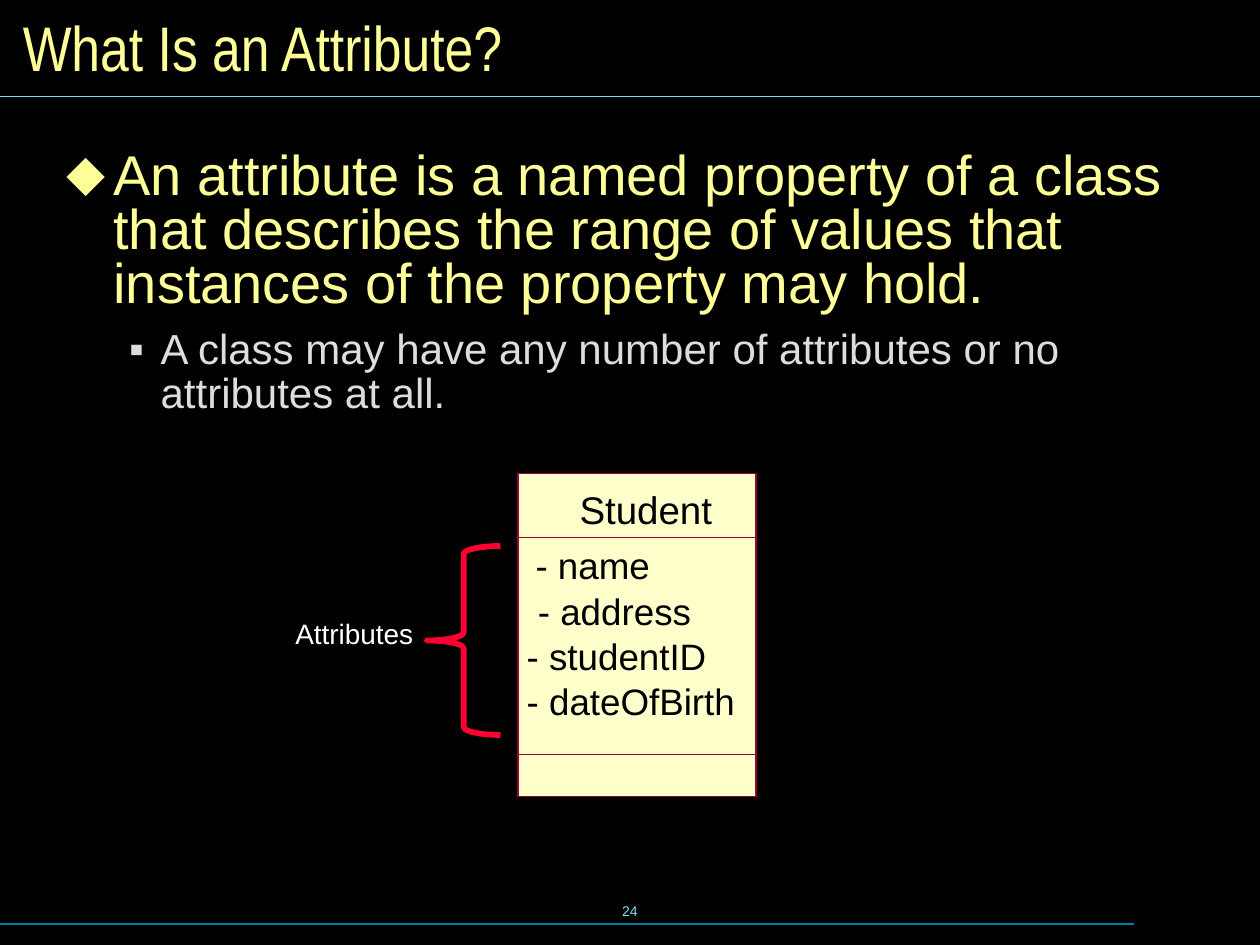
from dataclasses import dataclass

import lxml.etree
import pptx
import pptx.dml.color
import pptx.enum.shapes
import pptx.enum.text
import pptx.oxml.ns
import pptx.util

Pt = pptx.util.Pt
RGBColor = pptx.dml.color.RGBColor
Shape = pptx.enum.shapes.MSO_SHAPE
Align = pptx.enum.text.PP_ALIGN
Anchor = pptx.enum.text.MSO_ANCHOR
qn = pptx.oxml.ns.qn

BLACK = RGBColor(0x00, 0x00, 0x00)
WHITE = RGBColor(0xFF, 0xFF, 0xFF)
YELLOW = RGBColor(0xFF, 0xFF, 0x99)
CREAM = RGBColor(0xFF, 0xFF, 0xCC)
GRAY = RGBColor(0xDD, 0xDD, 0xDD)
SKY = RGBColor(0x73, 0xE1, 0xFF)
TEAL = RGBColor(0x00, 0x7E, 0x9F)
RED = RGBColor(0xFF, 0x00, 0x33)
MAROON = RGBColor(0x99, 0x00, 0x33)


@dataclass
class Bullet:
    text: str
    symbol: str
    level: int
    size: float
    color: RGBColor
    left: float
    hanging: float
    spacing: float
    before: float


@dataclass
class Attribute:
    text: str
    left: float
    width: float


BULLETS = [
    Bullet("An attribute is a named property of a class that describes the range "
           "of values that instances of the property may hold.",
           "⬥", 0, 32, YELLOW, 27, 27, 0.8, 0),
    Bullet("A class may have any number of attributes or no attributes at all.",
           "▪", 1, 24, GRAY, 54, 18, 0.87, 9),
]
ATTRIBUTES = [
    Attribute("- name", 306, 65.5),
    Attribute("- address", 307.4, 88),
    Attribute("- studentID", 301, 103),
    Attribute("- dateOfBirth", 301, 119),
]
ATTRIBUTE_TOP, ATTRIBUTE_STEP = 310.4, 25.8
CLASS_LEFT, CLASS_WIDTH, CLASS_BOTTOM = 296, 136, 455.2


def format_text(shape, text: str, *, size: float, color: RGBColor, font: str = "Arial",
                align=Align.LEFT, anchor=Anchor.TOP, wrap: bool = False,
                inset: tuple = (0, 0)) -> None:
    frame = shape.text_frame
    frame.auto_size = pptx.enum.text.MSO_AUTO_SIZE.NONE
    frame.word_wrap = wrap
    frame.vertical_anchor = anchor
    frame.margin_left = frame.margin_right = Pt(inset[0])
    frame.margin_top = frame.margin_bottom = Pt(inset[1])
    para = frame.paragraphs[0]
    para.alignment = align
    span = para.add_run()
    span.text = text
    format_font(span.font, font, size, color)


def format_font(target, name: str, size: float, color: RGBColor) -> None:
    target.name = name
    target.size = Pt(size)
    target.color.rgb = color


def add_text(page, text: str, left: float, top: float, width: float, height: float,
             **style) -> None:
    box = page.shapes.add_textbox(Pt(left), Pt(top), Pt(width), Pt(height))
    format_text(box, text, **style)


def add_rule(page, top: float, width: float, color: RGBColor) -> None:
    """Draw a thin horizontal line from the left edge of the page."""
    rule = page.shapes.add_connector(pptx.enum.shapes.MSO_CONNECTOR.STRAIGHT,
                                     Pt(0), Pt(top), Pt(width), Pt(top))
    rule.line.color.rgb = color
    rule.line.width = Pt(0.75)
    properties = rule._element.find(qn("p:spPr"))
    lxml.etree.SubElement(properties, qn("a:effectLst"))


def add_outline(page, kind, left: float, top: float, width: float, height: float,
                line: RGBColor, weight: float, fill: RGBColor | None = None):
    shape = page.shapes.add_shape(kind, Pt(left), Pt(top), Pt(width), Pt(height))
    shape.shadow.inherit = False
    if fill is None:
        shape.fill.background()
    else:
        shape.fill.solid()
        shape.fill.fore_color.rgb = fill
    shape.line.color.rgb = line
    shape.line.width = Pt(weight)
    return shape


def add_bullet(para, bullet: Bullet) -> None:
    para.level = bullet.level
    properties = para._p.get_or_add_pPr()
    properties.set("marL", str(int(Pt(bullet.left))))
    properties.set("indent", str(-int(Pt(bullet.hanging))))
    color = lxml.etree.SubElement(properties, qn("a:buClr"))
    lxml.etree.SubElement(color, qn("a:srgbClr"), val=str(bullet.color))
    lxml.etree.SubElement(properties, qn("a:buFont"), typeface="Arial")
    lxml.etree.SubElement(properties, qn("a:buChar"), char=bullet.symbol)
    para.line_spacing = bullet.spacing
    para.space_before = Pt(bullet.before)
    span = para.add_run()
    span.text = bullet.text
    format_font(span.font, "Arial", bullet.size, bullet.color)


def add_body(page) -> None:
    box = page.shapes.add_textbox(Pt(28.8), Pt(82.8), Pt(669), Pt(397.4))
    frame = box.text_frame
    frame.word_wrap = True
    frame.margin_left = frame.margin_right = Pt(9)
    frame.margin_top = frame.margin_bottom = Pt(4.5)
    for index, bullet in enumerate(BULLETS):
        para = frame.add_paragraph() if index else frame.paragraphs[0]
        add_bullet(para, bullet)


def add_class_diagram(page) -> None:
    brace = add_outline(page, Shape.LEFT_BRACE, 244, 312, 42, 108, RED, 3.25)
    brace.adjustments[0] = 0.11
    add_text(page, "Attributes", 159.8, 347.8, 84.2, 28, size=16, color=WHITE,
             inset=(9, 4.5))
    for top, fill in ((270.7, CREAM), (307.2, None), (431, None)):
        add_outline(page, Shape.RECTANGLE, CLASS_LEFT, top, CLASS_WIDTH,
                    CLASS_BOTTOM - top, MAROON, 0, fill)
    add_text(page, "Student", 331.2, 278, 75.6, 26.6, size=22, color=BLACK)
    for row, attribute in enumerate(ATTRIBUTES):
        add_text(page, attribute.text, attribute.left,
                 ATTRIBUTE_TOP + row * ATTRIBUTE_STEP, attribute.width, 25.2,
                 size=21, color=BLACK)


def main() -> None:
    deck = pptx.Presentation()
    deck.slide_width, deck.slide_height = Pt(720), Pt(540)
    page = deck.slides.add_slide(deck.slide_layouts[5])
    page.background.fill.solid()
    page.background.fill.fore_color.rgb = BLACK

    title = page.shapes.title
    title.left, title.top, title.width, title.height = Pt(5.8), Pt(5.8), Pt(708.4), Pt(41.8)
    format_text(title, "What Is an Attribute?", size=36, color=YELLOW,
                font="Arial Narrow", anchor=Anchor.MIDDLE, wrap=True, inset=(7.2, 3.6))
    add_rule(page, 55, 720, SKY)
    add_body(page)
    add_class_diagram(page)
    add_rule(page, 528, 648, TEAL)
    add_text(page, "24", 246, 502.6, 228, 36, size=8, color=SKY, align=Align.CENTER,
             anchor=Anchor.MIDDLE, inset=(7.2, 3.6))
    deck.save("out.pptx")


if __name__ == "__main__":
    main()
